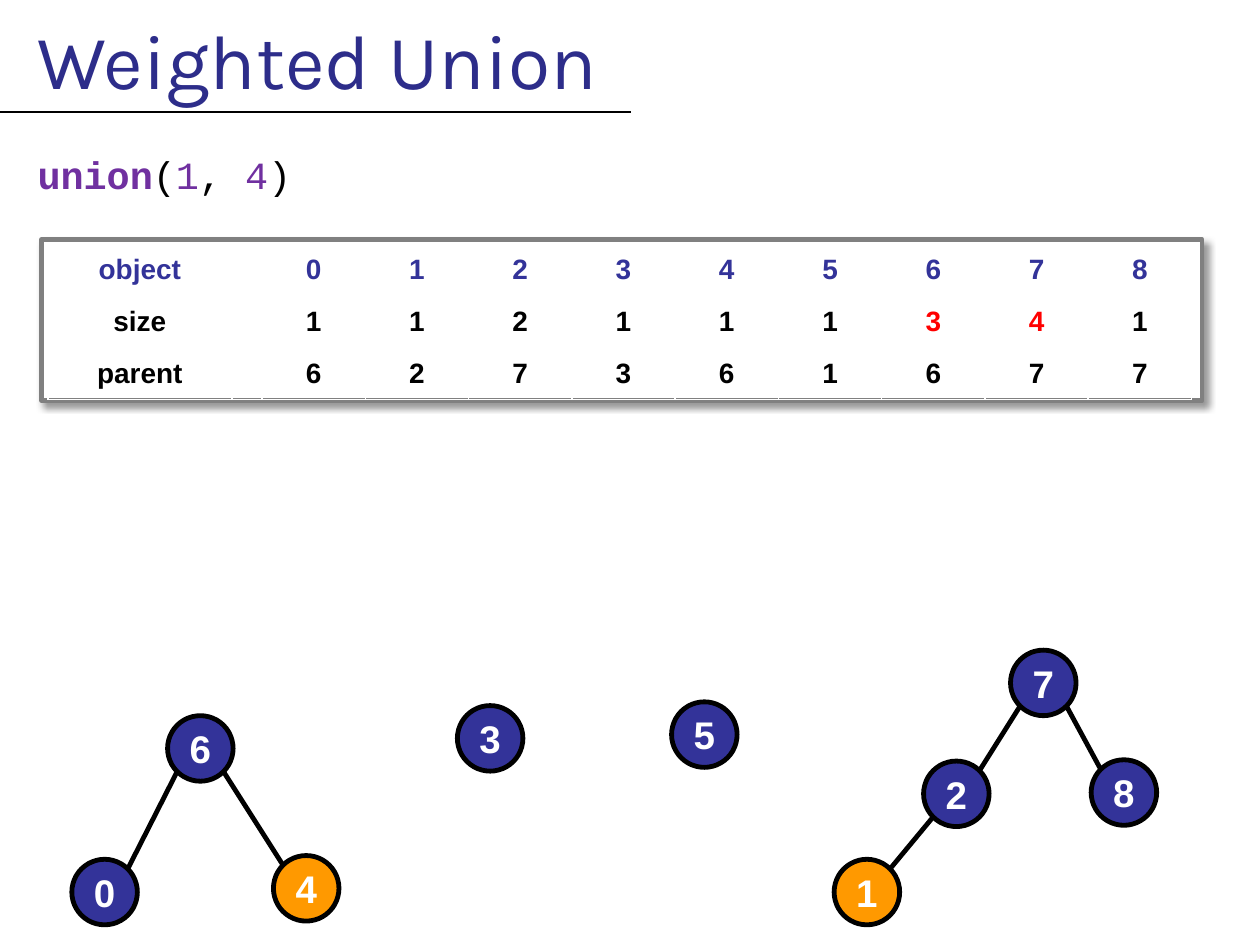
import dataclasses
import math
import typing

import lxml.etree
import pptx
import pptx.dml.color
import pptx.enum.shapes
import pptx.enum.text
import pptx.oxml
import pptx.oxml.ns
import pptx.util

Inches = pptx.util.Inches
Pt = pptx.util.Pt
ALIGN = pptx.enum.text.PP_ALIGN
ANCHOR = pptx.enum.text.MSO_ANCHOR
SHAPE = pptx.enum.shapes.MSO_SHAPE
qn = pptx.oxml.ns.qn


@dataclasses.dataclass(frozen=True)
class Theme:
    title: str = "2D2D8A"
    navy: str = "333399"
    orange: str = "FF9900"
    purple: str = "7030A0"
    red: str = "FF0000"
    gray: str = "808080"
    black: str = "000000"
    white: str = "FFFFFF"
    title_size: float = 44
    code_size: float = 22
    node_size: float = 22
    table_size: float = 16
    rule_width: float = 1.5
    stroke_width: float = 2.75
    title_font: str = "Karla"
    code_font: str = "Courier New"
    font: str = "Arial"


class Run(typing.NamedTuple):
    text: str
    color: str
    bold: bool = False


class Node(typing.NamedTuple):
    left: float
    top: float
    highlighted: bool = False


THEME = Theme()
NODE_SIZE = 0.52
NODES = {
    3: Node(3.63, 5.6),
    8: Node(8.66, 6.03),
    2: Node(7.33, 6.04),
    0: Node(0.57, 6.82),
    4: Node(2.17, 6.79, True),
    6: Node(1.33, 5.68),
    1: Node(6.62, 6.82, True),
    5: Node(5.33, 5.57),
    7: Node(8.02, 5.16),
}
EDGES = [(1, 2), (0, 6), (4, 6), (2, 7), (8, 7)]  # child, parent

ROWS = {
    "object": range(9),
    "size": [1, 1, 2, 1, 1, 1, 3, 4, 1],
    "parent": [6, 2, 7, 3, 6, 1, 6, 7, 7],
}
CHANGED_SIZES = {6, 7}
COLUMN_WIDTHS = [1.46, 0.23] + [0.82] * 9
ROW_HEIGHT = 0.41


def rgb(color: str) -> pptx.dml.color.RGBColor:
    return pptx.dml.color.RGBColor.from_string(color)


def apply(target: typing.Any, values: dict) -> None:
    for attribute, value in values.items():
        setattr(target, attribute, value)


def add_run(paragraph, run: Run, size: float, font: str) -> None:
    piece = paragraph.add_run()
    piece.text = run.text
    apply(piece.font, {"size": Pt(size), "name": font, "bold": run.bold})
    piece.font.color.rgb = rgb(run.color)


def add_text(slide, box: tuple, runs: list[Run], size: float, font: str,
             top_inset: float, margin: float, indent: float) -> None:
    frame = slide.shapes.add_textbox(*map(Inches, box)).text_frame
    apply(frame, {"word_wrap": True, "margin_top": Inches(top_inset),
                  "vertical_anchor": ANCHOR.TOP})
    paragraph = frame.paragraphs[0]
    properties = paragraph._p.get_or_add_pPr()
    properties.set("marL", str(Inches(margin)))
    properties.set("indent", str(Inches(indent)))
    for run in runs:
        add_run(paragraph, run, size, font)


def add_shape(slide, kind, box: tuple, fill: str, line: str):
    shape = slide.shapes.add_shape(kind, *map(Inches, box))
    shape.shadow.inherit = False
    shape.fill.solid()
    shape.fill.fore_color.rgb = rgb(fill)
    shape.line.color.rgb = rgb(line)
    shape.line.width = Pt(THEME.stroke_width)
    return shape


def add_line(slide, start: tuple, end: tuple, width: float) -> None:
    line = slide.shapes.add_connector(
        pptx.enum.shapes.MSO_CONNECTOR.STRAIGHT, *map(Inches, start + end))
    line.line.color.rgb = rgb(THEME.black)
    line.line.width = Pt(width)
    lxml.etree.SubElement(line._element.spPr, qn("a:effectLst"))


def add_frame(slide) -> None:
    frame = add_shape(slide, SHAPE.RECTANGLE, (0.33, 1.9, 9.21, 1.28),
                      THEME.white, THEME.gray)
    effects = frame._element.spPr.find(qn("a:effectLst"))
    shadow = lxml.etree.SubElement(
        effects, qn("a:outerShdw"), blurRad=str(Pt(4)), dist=str(Pt(3)),
        dir=str(45 * 60000), algn="tl", rotWithShape="0")
    color = lxml.etree.SubElement(shadow, qn("a:srgbClr"), val=THEME.black)
    lxml.etree.SubElement(color, qn("a:alpha"), val="40000")


def value_color(label: str, item: int | None) -> str:
    if label == "object":
        return THEME.navy
    if label == "size" and item in CHANGED_SIZES:
        return THEME.red
    return THEME.black


def add_object_table(slide) -> None:
    table = slide.shapes.add_table(
        len(ROWS), len(COLUMN_WIDTHS), Inches(0.38), Inches(1.94),
        Inches(sum(COLUMN_WIDTHS)), Inches(ROW_HEIGHT * len(ROWS))).table
    apply(table, {"first_row": False, "horz_banding": False})
    for column, width in zip(table.columns, COLUMN_WIDTHS):
        column.width = Inches(width)
    for row, (label, values) in zip(table.rows, ROWS.items()):
        row.height = Inches(ROW_HEIGHT)
        for index, (cell, text) in enumerate(zip(row.cells, [label, "", *values])):
            cell.fill.background()
            cell.vertical_anchor = ANCHOR.MIDDLE
            paragraph = cell.text_frame.paragraphs[0]
            paragraph.alignment = ALIGN.CENTER
            if text != "":
                color = value_color(label, index - 2)
                add_run(paragraph, Run(str(text), color, True),
                        THEME.table_size, THEME.font)


def add_node(slide, label: int, node: Node) -> None:
    fill = THEME.orange if node.highlighted else THEME.navy
    circle = add_shape(slide, SHAPE.OVAL,
                       (node.left, node.top, NODE_SIZE, NODE_SIZE), fill, THEME.black)
    frame = circle.text_frame
    apply(frame, {"word_wrap": False, "vertical_anchor": ANCHOR.MIDDLE,
                  "margin_left": 0, "margin_right": 0})
    frame.paragraphs[0].alignment = ALIGN.CENTER
    add_run(frame.paragraphs[0], Run(str(label), THEME.white, True),
            THEME.node_size, THEME.font)


def add_edge(slide, child: Node, parent: Node) -> None:
    """Join the facing diagonal points of two circles."""
    center = NODE_SIZE / 2
    reach = center * math.sqrt(0.5)
    side = math.copysign(reach, parent.left - child.left)
    add_line(slide,
             (child.left + center + side, child.top + center - reach),
             (parent.left + center - side, parent.top + center + reach),
             THEME.stroke_width)


def main() -> None:
    deck = pptx.Presentation()
    apply(deck, {"slide_width": Inches(10), "slide_height": Inches(7.5)})
    slide = deck.slides.add_slide(deck.slide_layouts[6])

    # Heading rule and call
    add_line(slide, (0, 0.89), (5.01, 0.89), THEME.rule_width)
    call = [Run("union", THEME.purple, True), Run("(", THEME.black),
            Run("1", THEME.purple), Run(", ", THEME.black),
            Run("4", THEME.purple), Run(")", THEME.black)]
    add_text(slide, (0, 1.09, 10.21, 6.41), call, THEME.code_size,
             THEME.code_font, 0.11, 0.5, -0.3)

    # Framed table, then title
    add_frame(slide)
    add_object_table(slide)
    add_text(slide, (0, 0, 10, 1), [Run("Weighted Union", THEME.title)],
             THEME.title_size, THEME.title_font, 0.1, 0.2, 0)

    # Forest of sets
    for label, node in NODES.items():
        add_node(slide, label, node)
    for child, parent in EDGES:
        add_edge(slide, NODES[child], NODES[parent])

    deck.save("out.pptx")


if __name__ == "__main__":
    main()
